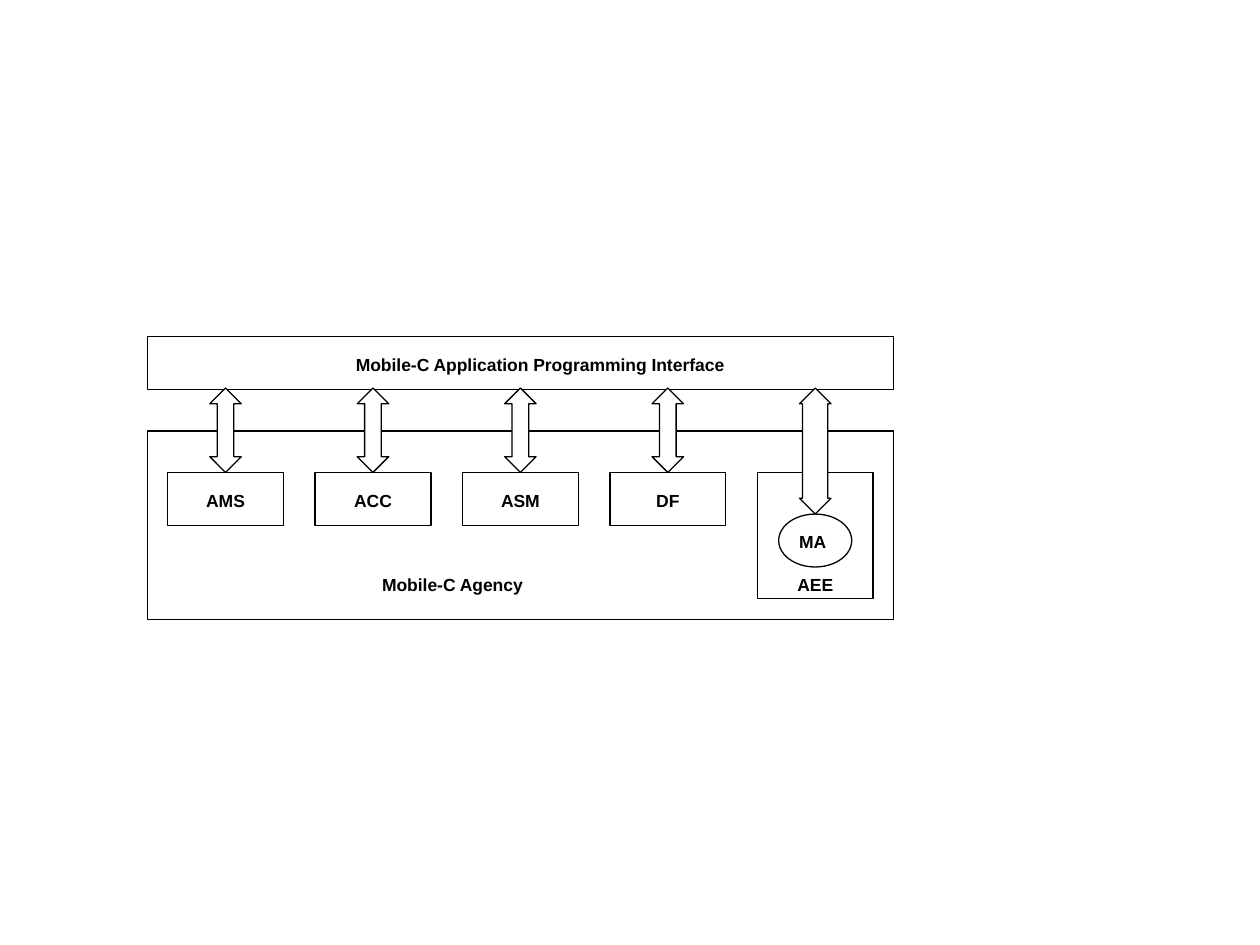
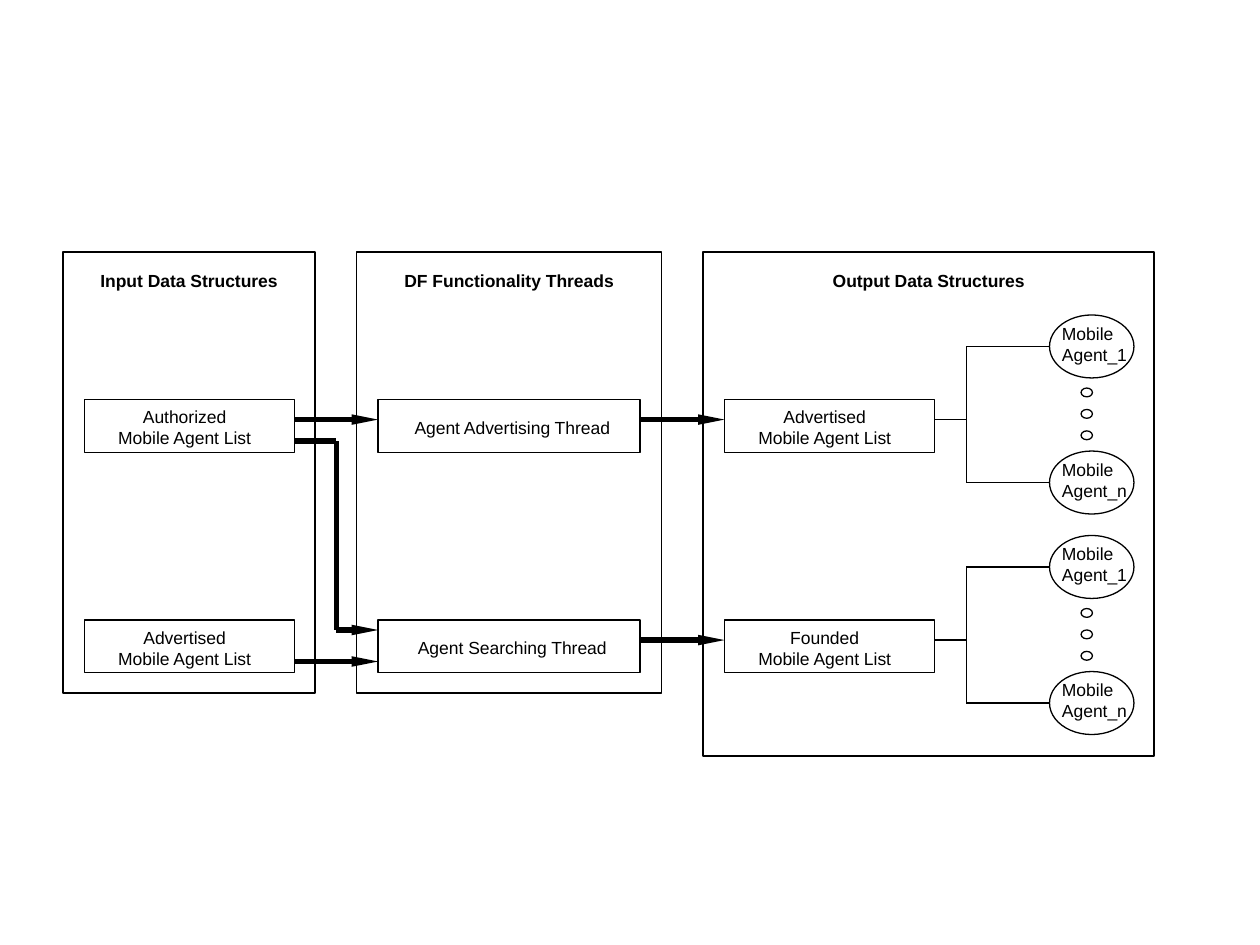
from lxml.etree import SubElement
from pptx import Presentation
from pptx.dml.color import RGBColor
from pptx.enum.shapes import MSO_CONNECTOR as Link, MSO_SHAPE as Kind
from pptx.enum.text import MSO_ANCHOR as Anchor, PP_ALIGN as Align
from pptx.oxml.ns import qn
from pptx.util import Inches, Pt

COLORS = {"ink": "000000", "paper": "FFFFFF"}
FONT, SIZE = "Arial", 10
THIN, THICK = 0.75, 3


def tint(name):
    return RGBColor.from_string(COLORS[name])


def write(shape, text, bold=False, pads=(0, 0, 0, 0), anchor=Anchor.MIDDLE, align=Align.CENTER):
    """Fill a shape with text; pads are left, top, right, bottom."""
    frame = shape.text_frame
    frame.word_wrap = True
    frame.vertical_anchor = anchor
    frame.margin_left, frame.margin_top, frame.margin_right, frame.margin_bottom = map(Inches, pads)
    frame.text = text
    for par in frame.paragraphs:
        par.alignment = align
        for run in par.runs:
            font = run.font
            font.name, font.size, font.bold = FONT, Pt(SIZE), bold
            font.color.rgb = tint("ink")


def draw(slide, kind, box, fill=None):
    """Add an outlined preset shape, open unless a fill is named."""
    shape = slide.shapes.add_shape(kind, *map(Inches, box))
    shape.shadow.inherit = False
    if fill:
        shape.fill.solid()
        shape.fill.fore_color.rgb = tint(fill)
    else:
        shape.fill.background()
    shape.line.color.rgb = tint("ink")
    shape.line.width = Pt(THIN)
    return shape


def trace(slide, points, width=THIN, arrow=False):
    """Join the points with straight lines; an arrow ends the last one."""
    for start, end in zip(points, points[1:]):
        line = slide.shapes.add_connector(Link.STRAIGHT, *map(Inches, start + end))
        line.line.color.rgb = tint("ink")
        line.line.width = Pt(width)
        if arrow and end == points[-1]:
            SubElement(line.line._get_or_add_ln(), qn("a:tailEnd"), type="triangle", w="sm", len="lg")
        SubElement(line._element.spPr, qn("a:effectLst"))


def add_api(slide, box):
    bar = draw(slide, Kind.RECTANGLE, box)
    write(bar, "Mobile-C Application Programming Interface", True, (0.31, 0.03, 0, 0))


def add_agency(slide, box):
    """Draw the agency, its modules and the arrows up to the interface."""
    left, top, _, _ = box
    write(draw(slide, Kind.RECTANGLE, box), "Mobile-C Agency", True,
          (0, 0, 1.08, 0.2), Anchor.BOTTOM)
    wide, pitch, arrow = 0.92, 1.17, 0.25
    for col, name in enumerate(("AMS", "ACC", "ASM", "DF", "AEE")):
        x, y = left + 0.16 + col * pitch, top + 0.33
        host = name == "AEE"
        module = draw(slide, Kind.RECTANGLE, (x, y, wide, 1 if host else 0.42))
        write(module, name, True, (0, 0.02, 0, 0.03 if host else 0),
              Anchor.BOTTOM if host else Anchor.MIDDLE)
        if host:
            agent = draw(slide, Kind.OVAL, (x + 0.17, y + 0.33, 0.58, 0.42))
            write(agent, "MA", True, (0, 0.02, 0.04, 0))
        reach = 1 if host else 0.67
        both = draw(slide, Kind.UP_DOWN_ARROW,
                    (x + (wide - arrow) / 2, top - 0.34, arrow, reach), "paper")
        both.adjustments[0] = 0.5
        both.adjustments[1] = 0.8 if host else 0.53


def add_panel(slide, box, title):
    write(draw(slide, Kind.RECTANGLE, box), title, True, (0, 0.14, 0, 0), Anchor.TOP)


def add_list(slide, box, name):
    write(draw(slide, Kind.RECTANGLE, box), name + "\vMobile Agent List",
          pads=(0, 0.02, 0.08, 0))


def add_agents(slide, box):
    """Branch from a list to its first and last agent; box starts at the branch."""
    left, top, wide, high = box
    oval_w, oval_h = 0.67, 0.5
    x, spine = left + wide - oval_w, left + 0.25
    middle = top + 0.83
    trace(slide, [(left, middle), (spine, middle)])
    ends = []
    for y, tag in ((top, "1"), (top + high - oval_h, "n")):
        draw(slide, Kind.OVAL, (x, y, oval_w, oval_h))
        label = slide.shapes.add_textbox(*map(Inches, (x, y, 0.92, 0.44)))
        write(label, f"Mobile\vAgent_{tag}", pads=(0.1, 0.06, 0.1, 0.05),
              anchor=Anchor.TOP, align=Align.LEFT)
        ends.append(y + oval_h / 2)
    first, last = ends
    trace(slide, [(x, first), (spine, first), (spine, last), (x, last)])
    for row in range(3):
        draw(slide, Kind.FLOWCHART_CONNECTOR, (x + 0.25, top + 0.58 + row * 0.17, 0.09, 0.07))


def add_flow(slide, box, source, thread, result):
    """Draw one row: input list, thread, output list and agents."""
    left, top, wide, high = box
    add_list(slide, (left, top, 1.67, high), source)
    step = draw(slide, Kind.RECTANGLE, (left + 2.33, top, 2.08, high))
    write(step, f"Agent {thread} Thread", pads=(0.05, 0.02, 0, 0))
    add_list(slide, (left + 5.08, top, 1.67, high), result)
    add_agents(slide, (left + 6.75, top - 0.67, wide - 6.75, 1.58))
    y = top + 0.16
    trace(slide, [(left + 4.41, y), (left + 5.08, y)], THICK, True)


def build_api(slide):
    add_api(slide, (1.17, 2.67, 5.92, 0.42))
    add_agency(slide, (1.17, 3.42, 5.92, 1.5))


def build_df(slide):
    for left, wide, high, title in (
        (0.5, 2, 3.5, "Input Data Structures"),
        (2.83, 2.42, 3.5, "DF Functionality Threads"),
        (5.58, 3.58, 4, "Output Data Structures"),
    ):
        add_panel(slide, (left, 2, wide, high), title)
    left, top, drop = 0.67, 3.17, 1.75
    for row, names in enumerate((
        ("Authorized", "Advertising", "Advertised"),
        ("Advertised", "Searching", "Founded"),
    )):
        add_flow(slide, (left, top + row * drop, 8.33, 0.42), *names)
    start, bend, end = left + 1.67, left + 2, left + 2.33
    for route in (
        [(start, 3.33), (end, 3.33)],
        [(start, 5.25), (end, 5.25)],
        [(start, 3.5), (bend, 3.5), (bend, 5), (end, 5)],
    ):
        trace(slide, route, THICK, True)


def main():
    deck = Presentation()
    deck.slide_width, deck.slide_height = Inches(10), Inches(7.5)
    for build in (build_api, build_df):
        build(deck.slides.add_slide(deck.slide_layouts[6]))
    deck.save("out.pptx")


if __name__ == "__main__":
    main()
